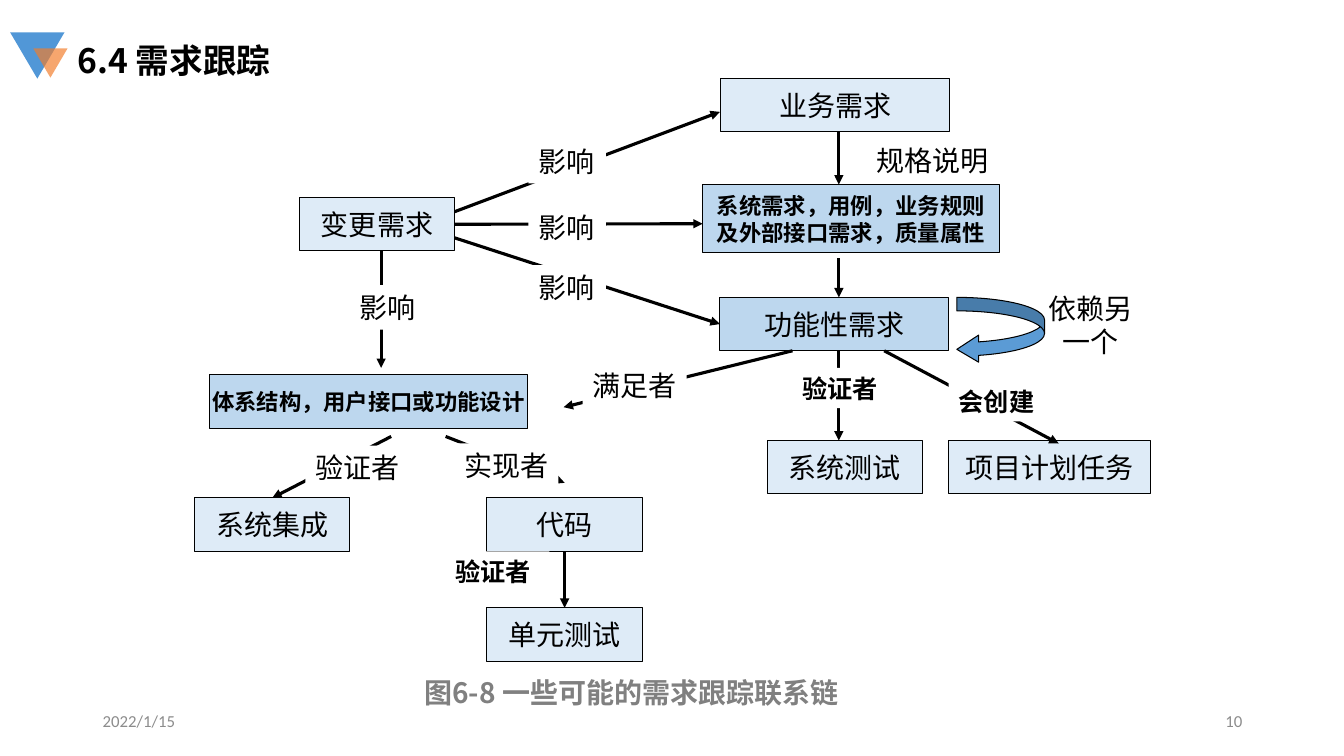
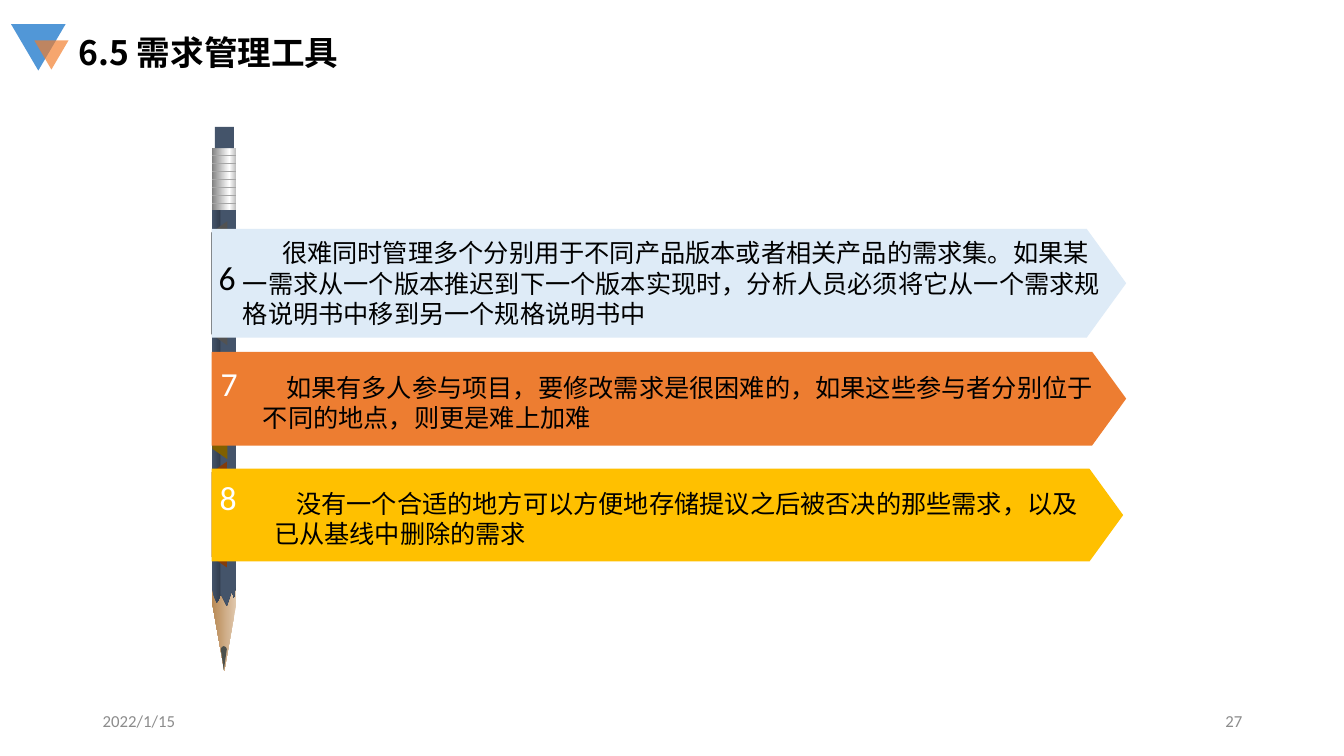
"""Build two slides on requirements tracing and requirements management tools."""
from lxml import etree
from pptx import Presentation
from pptx.dml.color import RGBColor
from pptx.enum.shapes import MSO_CONNECTOR, MSO_SHAPE
from pptx.enum.text import MSO_ANCHOR, MSO_AUTO_SIZE, PP_ALIGN
from pptx.oxml.ns import qn
from pptx.util import Inches, Pt

RECTANGLE = MSO_SHAPE.RECTANGLE
TRIANGLE = MSO_SHAPE.ISOSCELES_TRIANGLE
PENTAGON = MSO_SHAPE.PENTAGON
TRAPEZOID = MSO_SHAPE.TRAPEZOID
CURVED_ARROW = MSO_SHAPE.CURVED_LEFT_ARROW
STRAIGHT = MSO_CONNECTOR.STRAIGHT
LEFT, CENTER, RIGHT = PP_ALIGN.LEFT, PP_ALIGN.CENTER, PP_ALIGN.RIGHT
TOP, MIDDLE = MSO_ANCHOR.TOP, MSO_ANCHOR.MIDDLE
SITE_TOP, SITE_LEFT, SITE_BOTTOM, SITE_RIGHT = range(4)

COLORS = {
    "black": "000000", "white": "FFFFFF", "caption": "808080", "footer": "8C8C8C",
    "pale": "DEEBF7", "light": "BDD7EE", "blue": "5B9BD5",
    "logo_blue": "5197D7", "logo_orange": "F37D2A",
    "orange": "ED7D31", "gold": "FFC000",
    "slate": "44546A", "slate_dark": "333F50", "lead": "4C504C", "ring": "A6A6A6",
    "wood_light": "E1C9AF", "wood_dark": "B88954",
    "silver": "BFBFBF", "gray": "808080",
    "fold_gray": "525252", "fold_olive": "806000", "fold_brown": "843C0B",
}
SANS = "Noto Sans CJK SC"
FORMATS = {
    "title": {"name": SANS, "size": Pt(24), "bold": True},
    "caption": {"name": SANS, "size": Pt(20), "bold": True},
    "normal": {"name": SANS, "size": Pt(20), "bold": False},
    "strong": {"name": SANS, "size": Pt(16), "bold": True},
    "label": {"name": "Arial", "size": Pt(18), "bold": True},
    "body": {"name": SANS, "size": Pt(18), "bold": False},
    "number": {"name": "Calibri", "size": Pt(24), "bold": False},
    "footer": {"name": "Calibri", "size": Pt(12), "bold": False},
}


def draw_shape(slide, kind, box, fill, line=None, rotation=0, adjustments=()):
    """Add a preset shape with a plain fill and an optional thin outline."""
    shape = slide.shapes.add_shape(kind, *map(Inches, box))
    shape.shadow.inherit = False
    shape.rotation = rotation
    shape.fill.solid()
    shape.fill.fore_color.rgb = RGBColor.from_string(COLORS[fill])
    if line:
        shape.line.color.rgb = RGBColor.from_string(COLORS[line])
        shape.line.width = Pt(0.75)
    else:
        shape.line.fill.background()
    for index, value in enumerate(adjustments):
        shape.adjustments[index] = value
    return shape


def write(shape, lines, style, color="black", align=LEFT, anchor=TOP, indent=0):
    """Fill a shape with one formatted paragraph per line."""
    frame = shape.text_frame
    frame.auto_size = MSO_AUTO_SIZE.NONE
    frame.word_wrap = align != CENTER
    frame.vertical_anchor = anchor
    for index, text in enumerate(lines):
        paragraph = frame.add_paragraph() if index else frame.paragraphs[0]
        paragraph.alignment = align
        paragraph.line_spacing = Pt(1.2 * FORMATS[style]["size"].pt)
        if indent:
            paragraph._p.get_or_add_pPr().set("indent", str(Inches(indent)))
        run = paragraph.add_run()
        run.text = text
        run.font.color.rgb = RGBColor.from_string(COLORS[color])
        for name, value in FORMATS[style].items():
            setattr(run.font, name, value)
        properties = run._r.get_or_add_rPr()
        etree.SubElement(properties, qn("a:ea"), typeface=SANS)


presentation = Presentation()
presentation.slide_width = Inches(13.33)
presentation.slide_height = Inches(7.5)

slides = []
for title, number, left, top in (
    ("6.4 需求跟踪", "10", 0.1, 0.32),
    ("6.5 需求管理工具", "27", 0.11, 0.24),
):
    slide = presentation.slides.add_slide(presentation.slide_layouts[5])
    slides.append(slide)
    heading = slide.shapes.title
    heading.left, heading.top = Inches(left + 0.57), Inches(top + 0.03)
    heading.width, heading.height = Inches(3.35), Inches(0.5)
    write(heading, [title], "title")
    draw_shape(slide, TRIANGLE, (left, top, 0.54, 0.46), "logo_blue", rotation=180)
    small = draw_shape(slide, TRIANGLE, (left + 0.23, top + 0.16, 0.34, 0.29),
                       "logo_orange", rotation=180)
    color_element = small._element.spPr.find(".//" + qn("a:srgbClr"))
    etree.SubElement(color_element, qn("a:alpha"), val="68000")
    for footer_left, text, align in ((0.92, "2022/1/15", LEFT), (9.42, number, RIGHT)):
        footer = slide.shapes.add_textbox(*map(Inches, (footer_left, 6.95, 3, 0.4)))
        write(footer, [text], "footer", "footer", align, MIDDLE)
tracing, tools = slides

caption = tracing.shapes.add_textbox(*map(Inches, (4.11, 6.65, 5.61, 0.44)))
write(caption, ["图6-8 一些可能的需求跟踪联系链"], "caption", "caption")

boxes = {}
for name, lines, box, fill, style in (
    ("business", ["业务需求"], (7.15, 0.78, 2.27, 0.53), "pale", "normal"),
    ("system", ["系统需求，用例，业务规则", "及外部接口需求，质量属性"],
     (6.97, 1.83, 2.94, 0.68), "light", "strong"),
    ("functional", ["功能性需求"], (7.14, 2.95, 2.27, 0.53), "light", "normal"),
    ("system_test", ["系统测试"], (7.61, 4.37, 1.54, 0.53), "pale", "normal"),
    ("plan_task", ["项目计划任务"], (9.41, 4.37, 2, 0.53), "pale", "normal"),
    ("design", ["体系结构，用户接口或功能设计"], (2.08, 3.72, 3.15, 0.53), "light", "strong"),
    ("integration", ["系统集成"], (1.93, 4.94, 1.54, 0.53), "pale", "normal"),
    ("code", ["代码"], (4.83, 4.94, 1.54, 0.53), "pale", "normal"),
    ("unit_test", ["单元测试"], (4.83, 6.03, 1.54, 0.53), "pale", "normal"),
    ("change", ["变更需求"], (2.97, 1.96, 1.54, 0.53), "pale", "normal"),
):
    boxes[name] = draw_shape(tracing, RECTANGLE, box, fill, "black")
    write(boxes[name], lines, style, align=CENTER, anchor=MIDDLE)
draw_shape(tracing, CURVED_ARROW, (9.49, 2.95, 0.87, 0.65), "blue", "black",
           adjustments=(0.206, 0.413, 0.333))

arrows = []
for points, begin, end in (
    ((5.6, 5.47, 5.6, 6.03), ("code", SITE_BOTTOM), ("unit_test", SITE_TOP)),
    ((8.32, 1.31, 8.32, 1.83), None, None),
    ((8.32, 2.56, 8.32, 2.95), None, None),
    ((8.32, 3.48, 8.32, 4.37), None, None),
    ((8.77, 3.48, 10.5, 4.4), None, None),
    ((7.86, 3.48, 5.59, 4.04), None, None),
    ((3.88, 4.33, 2.71, 4.94), None, ("integration", SITE_TOP)),
    ((4.42, 4.33, 5.6, 4.79), None, None),
    ((4.51, 2.24, 6.97, 2.22), ("change", SITE_RIGHT), None),
    ((4.51, 2.36, 7.14, 3.21), None, ("functional", SITE_LEFT)),
    ((4.51, 2.1, 7.14, 1.11), None, None),
    ((3.78, 2.49, 3.78, 3.65), None, None),
):
    arrow = tracing.shapes.add_connector(STRAIGHT, *map(Inches, points))
    if begin:
        arrow.begin_connect(boxes[begin[0]], begin[1])
    if end:
        arrow.end_connect(boxes[end[0]], end[1])
    arrows.append(arrow)

for text, left, top, width, style in (
    ("验证者", 4.42, 5.47, 1.03, "label"),
    ("规格说明", 8.59, 1.37, 1.31, "normal"),
    ("会创建", 9.41, 3.78, 1.03, "label"),
    ("验证者", 7.86, 3.65, 1.03, "label"),
    ("满足者", 5.78, 3.61, 1.03, "normal"),
    ("影响", 5.24, 1.38, 0.77, "normal"),
    ("影响", 5.24, 2.04, 0.77, "normal"),
    ("影响", 5.24, 2.63, 0.77, "normal"),
    ("影响", 3.47, 2.83, 0.77, "normal"),
    ("验证者", 3.03, 4.42, 1.07, "normal"),
    ("实现者", 4.51, 4.4, 1.03, "normal"),
):
    height = 0.4 if style == "label" else 0.44
    label = draw_shape(tracing, RECTANGLE, (left, top, width, height), "white")
    write(label, [text], style)
    label.text_frame.margin_right = 0
dependency = tracing.shapes.add_textbox(*map(Inches, (10.3, 2.84, 1.04, 0.77)))
write(dependency, ["依赖另", "一个"], "normal", align=CENTER)

wood = draw_shape(tools, PENTAGON, (1.8, 6.11, 0.85, 0.24), "wood_light",
                  rotation=90, adjustments=(2.816,))
outlines = []
for fill, points in (
    ("slate", ((2.1, 2.08), (2.34, 2.08), (2.34, 5.8), (2.32, 5.93), (2.3, 5.86),
               (2.28, 5.92), (2.25, 6.01), (2.22, 5.95), (2.19, 5.89), (2.17, 5.95),
               (2.15, 5.98), (2.12, 5.91), (2.1, 5.83))),
    ("lead", ((2.19, 6.44), (2.2, 6.42), (2.22, 6.41), (2.24, 6.42), (2.25, 6.44),
              (2.22, 6.65))),
):
    corners = [(Inches(x), Inches(y)) for x, y in points]
    builder = tools.shapes.build_freeform(*corners[0])
    builder.add_line_segments(corners[1:], close=True)
    outline = builder.convert_to_shape()
    outline.shadow.inherit = False
    outline.fill.solid()
    outline.fill.fore_color.rgb = RGBColor.from_string(COLORS[fill])
    outline.line.fill.background()
    outlines.append(outline)
ferrule = draw_shape(tools, RECTANGLE, (2.1, 1.47, 0.24, 0.61), "silver")
draw_shape(tools, RECTANGLE, (2.13, 1.26, 0.19, 0.21), "slate")

for shape, angle, stops in (
    (wood, 270, ((0, "wood_light"), (100, "wood_dark"))),
    (outlines[0], 0, ((0, "slate"), (34, "slate_dark"), (38, "slate"), (100, "slate"))),
    (ferrule, 180, ((0, "silver"), (27, "white"), (100, "gray"))),
):
    shape.fill.gradient()
    shape.fill.gradient_angle = angle
    stop_list = shape._element.spPr.find(".//" + qn("a:gsLst"))
    for stop in list(stop_list):
        stop_list.remove(stop)
    for position, color in stops:
        stop = etree.SubElement(stop_list, qn("a:gs"), pos=str(position * 1000))
        etree.SubElement(stop, qn("a:srgbClr"), val=COLORS[color])

rings = []
for index in range(7):
    ring_top = 1.54 + 0.08 * index
    points = map(Inches, (2.1, ring_top, 2.34, ring_top))
    rings.append(tools.shapes.add_connector(STRAIGHT, *points))

for fold, fold_fill, bar, bar_fill, point in (
    ((1.56, 2.73, 1.23, 0.16), "fold_gray", (2.1, 2.27, 9.07, 1.08), "pale", 0.363),
    ((1.65, 3.95, 1.06, 0.15), "fold_olive", (2.1, 3.49, 9.07, 0.93), "orange", 0.363),
    ((1.65, 5.03, 1.05, 0.15), "fold_brown", (2.1, 4.65, 9.04, 0.92), "gold", 0.363),
):
    draw_shape(tools, TRAPEZOID, fold, fold_fill, rotation=270, adjustments=(0.698,))
    draw_shape(tools, PENTAGON, bar, bar_fill, adjustments=(point,))

for text, box, style, color, indent in (
    ("6", (2.07, 2.5, 0.7, 0.58), "number", "black", 0),
    ("7", (2.09, 3.55, 0.99, 0.8), "number", "white", 0),
    ("8", (2.08, 4.68, 0.99, 0.79), "number", "white", 0),
    ("很难同时管理多个分别用于不同产品版本或者相关产品的需求集。如果某一需求从一个版本推迟到"
     "下一个版本实现时，分析人员必须将它从一个需求规格说明书中移到另一个规格说明书中",
     (2.31, 2.31, 8.82, 1.01), "body", "black", 0.39),
    ("如果有多人参与项目，要修改需求是很困难的，如果这些参与者分别位于不同的地点，则更是难上加难",
     (2.51, 3.64, 8.66, 0.71), "body", "black", 0.23),
    ("没有一个合适的地方可以方便地存储提议之后被否决的那些需求，以及已从基线中删除的需求",
     (2.62, 4.79, 8.21, 0.71), "body", "black", 0.22),
):
    text_box = tools.shapes.add_textbox(*map(Inches, box))
    write(text_box, [text], style, color, indent=indent)

for connectors, color, width, head in (
    (arrows, "black", 2.25, "triangle"),
    (rings, "ring", 0.5, "none"),
):
    for connector in connectors:
        connector.line.color.rgb = RGBColor.from_string(COLORS[color])
        connector.line.width = Pt(width)
        properties = connector._element.spPr
        etree.SubElement(properties.find(qn("a:ln")), qn("a:tailEnd"), type=head)
        etree.SubElement(properties, qn("a:effectLst"))

presentation.save("out.pptx")
